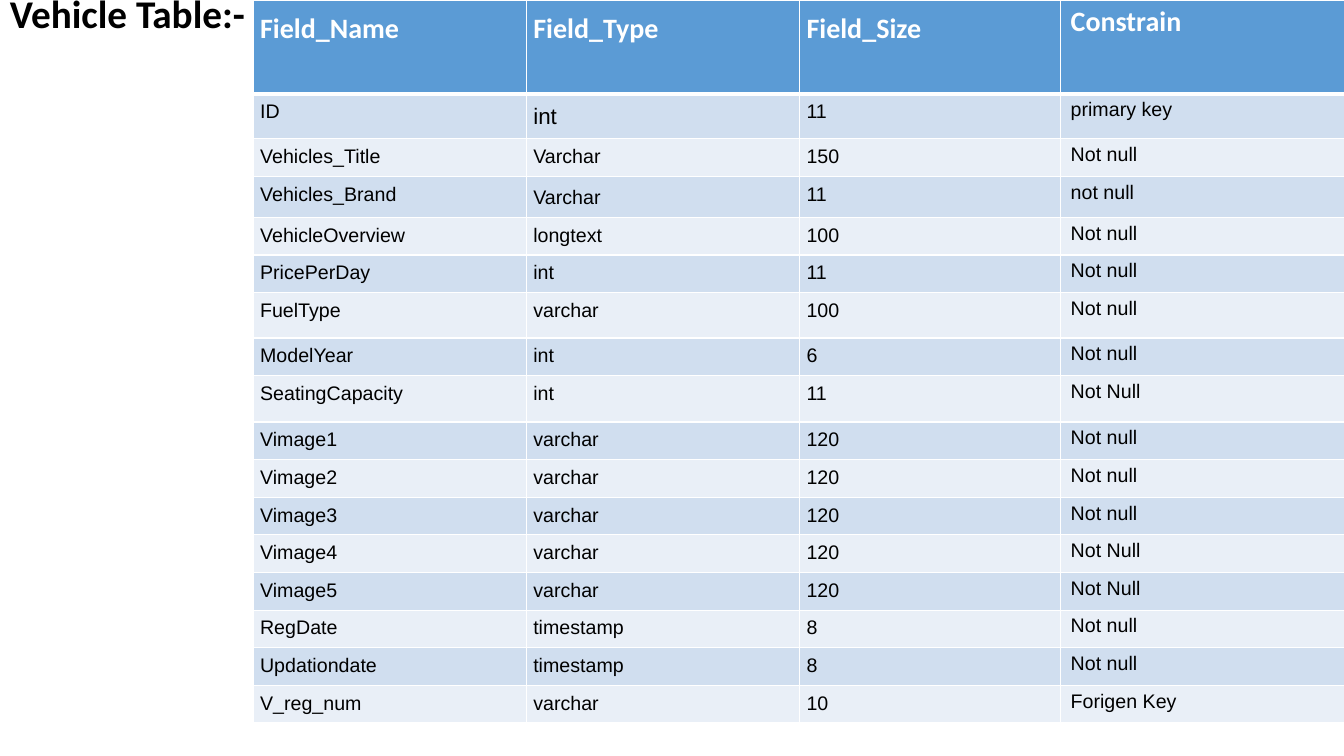
import dataclasses

import lxml.etree
import pptx
import pptx.dml.color
import pptx.oxml.ns
import pptx.slide
import pptx.table
import pptx.text.text
import pptx.util

GRID_COLUMNS, GRID_ROWS = 1333, 750
GRID_STEP = pptx.util.Inches(0.01)

WHITE = pptx.dml.color.RGBColor(0xFF, 0xFF, 0xFF)
BLACK = pptx.dml.color.RGBColor(0x00, 0x00, 0x00)
HEADER_BLUE = pptx.dml.color.RGBColor(0x5B, 0x9B, 0xD5)
DARK_BAND = pptx.dml.color.RGBColor(0xD0, 0xDE, 0xEF)
LIGHT_BAND = pptx.dml.color.RGBColor(0xE9, 0xEF, 0xF7)

TABLE_LEFT = 251
COLUMN_SPANS = (271, 271, 259, 282)
HEADER_ROWS = 93
LOOSE = 1.15


@dataclasses.dataclass(frozen=True)
class TextStyle:
    font: str
    size: int
    color: pptx.dml.color.RGBColor
    bold: bool = False


@dataclasses.dataclass(frozen=True)
class Field:
    name: str
    kind: str
    size: str
    constraint: str = "Not null"
    rows: int = 32
    kind_size: int = 14
    kind_spacing: float | None = None


TITLE_STYLE = TextStyle("Calibri", 28, BLACK, True)
HEADER_STYLE = TextStyle("Calibri", 20, WHITE, True)
BODY_STYLE = TextStyle("Arial", 14, BLACK)

HEADINGS = ("Field_Name", "Field_Type", "Field_Size", "Constrain")
FIELDS = (
    Field("ID", "int", "11", "primary key", 37, 16, LOOSE),
    Field("Vehicles_Title", "Varchar", "150", rows=37),
    Field("Vehicles_Brand", "Varchar", "11", "not null", 37, kind_spacing=LOOSE),
    Field("VehicleOverview", "longtext", "100", rows=37),
    Field("PricePerDay", "int", "11", rows=37),
    Field("FuelType", "varchar", "100", rows=45),
    Field("ModelYear", "int", "6", rows=37),
    Field("SeatingCapacity", "int", "11", "Not Null", 46),
    Field("Vimage1", "varchar", "120"),
    Field("Vimage2", "varchar", "120"),
    Field("Vimage3", "varchar", "120"),
    Field("Vimage4", "varchar", "120", "Not Null"),
    Field("Vimage5", "varchar", "120", "Not Null"),
    Field("RegDate", "timestamp", "8"),
    Field("Updationdate", "timestamp", "8"),
    Field("V_reg_num", "varchar", "10", "Forigen Key"),
)


def grid(count: int) -> pptx.util.Emu:
    return pptx.util.Emu(count * GRID_STEP)


def write_text(frame: pptx.text.text.TextFrame, text: str, style: TextStyle,
               spacing: float | None = None) -> None:
    frame.text = text
    para = frame.paragraphs[0]
    if spacing is not None:
        para.line_spacing = spacing
    font = para.runs[0].font
    font.name = style.font
    font.size = pptx.util.Pt(style.size)
    font.bold = style.bold
    font.color.rgb = style.color


def draw_borders(cell: pptx.table._Cell, top: int, bottom: int) -> None:
    properties = cell._tc.get_or_add_tcPr()
    for side, points in (("L", 1), ("R", 1), ("T", top), ("B", bottom)):
        line = lxml.etree.SubElement(properties, pptx.oxml.ns.qn(f"a:ln{side}"),
                                     w=str(pptx.util.Pt(points)))
        fill = lxml.etree.SubElement(line, pptx.oxml.ns.qn("a:solidFill"))
        lxml.etree.SubElement(fill, pptx.oxml.ns.qn("a:srgbClr"), val=str(WHITE))


def draw_cell(table: pptx.table.Table, row: int, column: int, text: str,
              style: TextStyle, spacing: float | None) -> None:
    cell = table.cell(row, column)
    across, down = (10, 5) if column == len(HEADINGS) - 1 else (7, 7)
    cell.margin_left = cell.margin_right = grid(across)
    cell.margin_top = cell.margin_bottom = grid(down)
    draw_borders(cell, 3 if row == 1 else 1, 3 if row == 0 else 1)
    cell.fill.solid()
    band = DARK_BAND if row % 2 else LIGHT_BAND
    cell.fill.fore_color.rgb = HEADER_BLUE if row == 0 else band
    write_text(cell.text_frame, text, style, spacing)


def draw_title(page: pptx.slide.Slide) -> None:
    box = page.shapes.add_textbox(0, 0, grid(1218), grid(5))
    frame = box.text_frame
    frame.word_wrap = True
    frame.margin_left = frame.margin_right = grid(10)
    frame.margin_top = frame.margin_bottom = grid(10)
    write_text(frame, "Vehicle Table:-", TITLE_STYLE, 0.9)


def draw_table(page: pptx.slide.Slide) -> None:
    row_spans = (HEADER_ROWS, *(field.rows for field in FIELDS))
    table = page.shapes.add_table(len(row_spans), len(COLUMN_SPANS), grid(TABLE_LEFT), 0,
                                  grid(sum(COLUMN_SPANS)), grid(sum(row_spans))).table
    table.horz_banding = False
    for column, span in zip(table.columns, COLUMN_SPANS):
        column.width = grid(span)
    for row, span in zip(table.rows, row_spans):
        row.height = grid(span)
    for column, heading in enumerate(HEADINGS):
        draw_cell(table, 0, column, heading, HEADER_STYLE, LOOSE if column < 3 else None)
    for row, field in enumerate(FIELDS, start=1):
        kind_style = dataclasses.replace(BODY_STYLE, size=field.kind_size)
        draw_cell(table, row, 0, field.name, BODY_STYLE, None)
        draw_cell(table, row, 1, field.kind, kind_style, field.kind_spacing)
        draw_cell(table, row, 2, field.size, BODY_STYLE, None)
        draw_cell(table, row, 3, field.constraint, BODY_STYLE, None)


def main() -> None:
    deck = pptx.Presentation()
    deck.slide_width, deck.slide_height = grid(GRID_COLUMNS), grid(GRID_ROWS)
    page = deck.slides.add_slide(deck.slide_layouts[6])
    draw_title(page)
    draw_table(page)
    deck.save("out.pptx")


if __name__ == "__main__":
    main()
